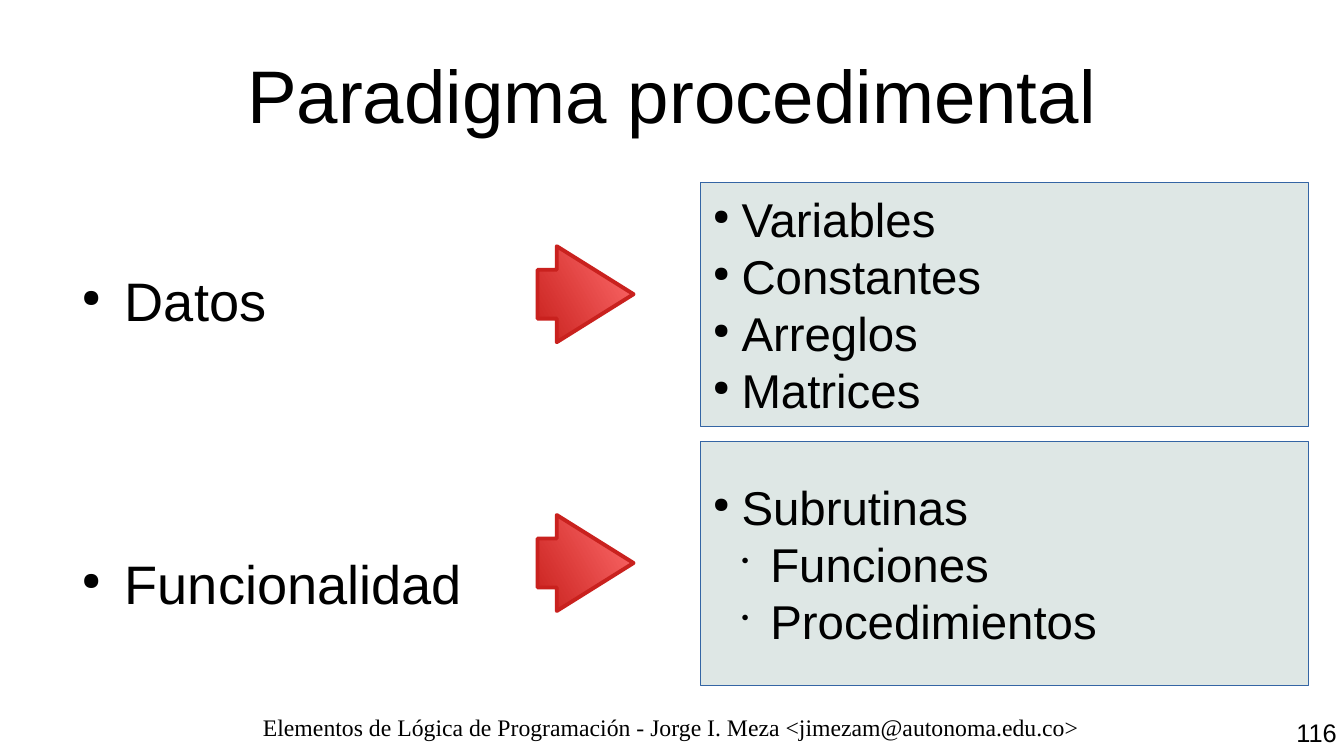
from lxml import etree
from pptx import Presentation
from pptx.dml.color import RGBColor
from pptx.enum.shapes import MSO_SHAPE
from pptx.enum.text import MSO_ANCHOR, PP_ALIGN
from pptx.oxml.ns import qn
from pptx.util import Cm, Pt

RECT, ARROW = MSO_SHAPE.RECTANGLE, MSO_SHAPE.RIGHT_ARROW
TOP, MIDDLE = MSO_ANCHOR.TOP, MSO_ANCHOR.MIDDLE
LEFT, CENTER, RIGHT = PP_ALIGN.LEFT, PP_ALIGN.CENTER, PP_ALIGN.RIGHT

TITLE = "Paradigma procedimental"
FOOTER = "Elementos de Lógica de Programación - Jorge I. Meza <jimezam@autonoma.edu.co>"
NUMBER = "116"
CONCEPTS = ["Datos", "Funcionalidad"]
GROUPS = [
    [("Variables", 0), ("Constantes", 0), ("Arreglos", 0), ("Matrices", 0)],
    [("Subrutinas", 0), ("Funciones", 1), ("Procedimientos", 1)],
]
COLORS = {"text": "000000", "box": "DEE7E5", "border": "3465A4",
          "light": "FF6D6D", "dark": "C9211E"}

BOX_X, BOX_Y, BOX_W, BOX_H, BOX_STEP = 14.6, 3.8, 12.67, 5.08, 5.4
ARROW_X, ARROW_Y, ARROW_SIZE, ARROW_STEP = 11.2, 5.13, 2.0, 5.6
BULLETS = "●•"


def color(name):
    """Return the named colour."""
    return RGBColor.from_string(COLORS[name])


def add_run(p, text, size, font="Arial"):
    """Add a formatted run to a paragraph."""
    r = p.add_run()
    r.text = text
    r.font.size, r.font.name = Pt(size), font
    r.font.color.rgb = color("text")


def add_bullet(p, char, indent, hanging):
    """Give a paragraph a small bullet with a hanging indent."""
    pPr = p._p.get_or_add_pPr()
    pPr.set("marL", str(Cm(indent)))
    pPr.set("indent", str(-Cm(hanging)))
    clr = etree.SubElement(pPr, qn("a:buClr"))
    etree.SubElement(clr, qn("a:srgbClr"), val=COLORS["text"])
    etree.SubElement(pPr, qn("a:buSzPct"), val="45000")
    etree.SubElement(pPr, qn("a:buFont"), typeface="OpenSymbol")
    etree.SubElement(pPr, qn("a:buChar"), char=char)


def add_text(slide, x, y, w, h, align, anchor=TOP):
    """Add a text box without margins and return its text frame."""
    tf = slide.shapes.add_textbox(Cm(x), Cm(y), Cm(w), Cm(h)).text_frame
    tf.margin_left = tf.margin_right = tf.margin_top = tf.margin_bottom = 0
    tf.word_wrap, tf.vertical_anchor = True, anchor
    tf.paragraphs[0].alignment = align
    return tf


def next_paragraph(tf, index):
    """Return the first paragraph or a new one."""
    return tf.add_paragraph() if index else tf.paragraphs[0]


def add_box(slide, y, items):
    """Add a box with its bulleted list."""
    sp = slide.shapes.add_shape(RECT, Cm(BOX_X), Cm(y), Cm(BOX_W), Cm(BOX_H))
    sp.shadow.inherit = False
    sp.fill.solid()
    sp.fill.fore_color.rgb = color("box")
    sp.line.color.rgb, sp.line.width = color("border"), Pt(0)
    tf = sp.text_frame
    tf.word_wrap, tf.vertical_anchor = True, MIDDLE
    for i, (text, level) in enumerate(items):
        p = next_paragraph(tf, i)
        p.alignment, p.level = LEFT, level
        add_bullet(p, BULLETS[level], 0.6 * (level + 1), 0.6)
        add_run(p, text, 28)


def add_arrow(slide, y):
    """Add a red arrow with a gradient."""
    sp = slide.shapes.add_shape(ARROW, Cm(ARROW_X), Cm(y), Cm(ARROW_SIZE), Cm(ARROW_SIZE))
    sp.shadow.inherit = False
    sp.adjustments[0], sp.adjustments[1] = 0.51, 0.8
    sp.fill.gradient()
    sp.fill.gradient_angle = 210
    for stop, position, name in zip(sp.fill.gradient_stops, (0, 1), ("light", "dark")):
        stop.position, stop.color.rgb = position, color(name)
    sp.line.color.rgb, sp.line.width = color("dark"), Pt(2.3)


def main():
    """Build the slide and save it."""
    prs = Presentation()
    prs.slide_width, prs.slide_height = Cm(28), Cm(15.75)
    slide = prs.slides.add_slide(prs.slide_layouts[6])

    tf = add_text(slide, 25, 14.95, 2.85, 0.8, RIGHT)
    add_run(tf.paragraphs[0], NUMBER, 15)
    tf = add_text(slide, 1.4, 0.63, 25.2, 2.63, CENTER, MIDDLE)
    add_run(tf.paragraphs[0], TITLE, 44)

    tf = add_text(slide, 1.4, 5.56, 9.6, 7.5, LEFT)
    for i, text in enumerate(CONCEPTS):
        p = next_paragraph(tf, i)
        if i:
            p.space_before = Pt(129)
        add_bullet(p, BULLETS[0], 1.2, 0.9)
        add_run(p, text, 32)

    for i, items in enumerate(GROUPS):
        add_box(slide, BOX_Y + i * BOX_STEP, items)
        add_arrow(slide, ARROW_Y + i * ARROW_STEP)

    tf = add_text(slide, 1.3, 14.86, 25.37, 0.8, CENTER)
    add_run(tf.paragraphs[0], FOOTER, 14, "Times New Roman")
    prs.save("out.pptx")


if __name__ == "__main__":
    main()
